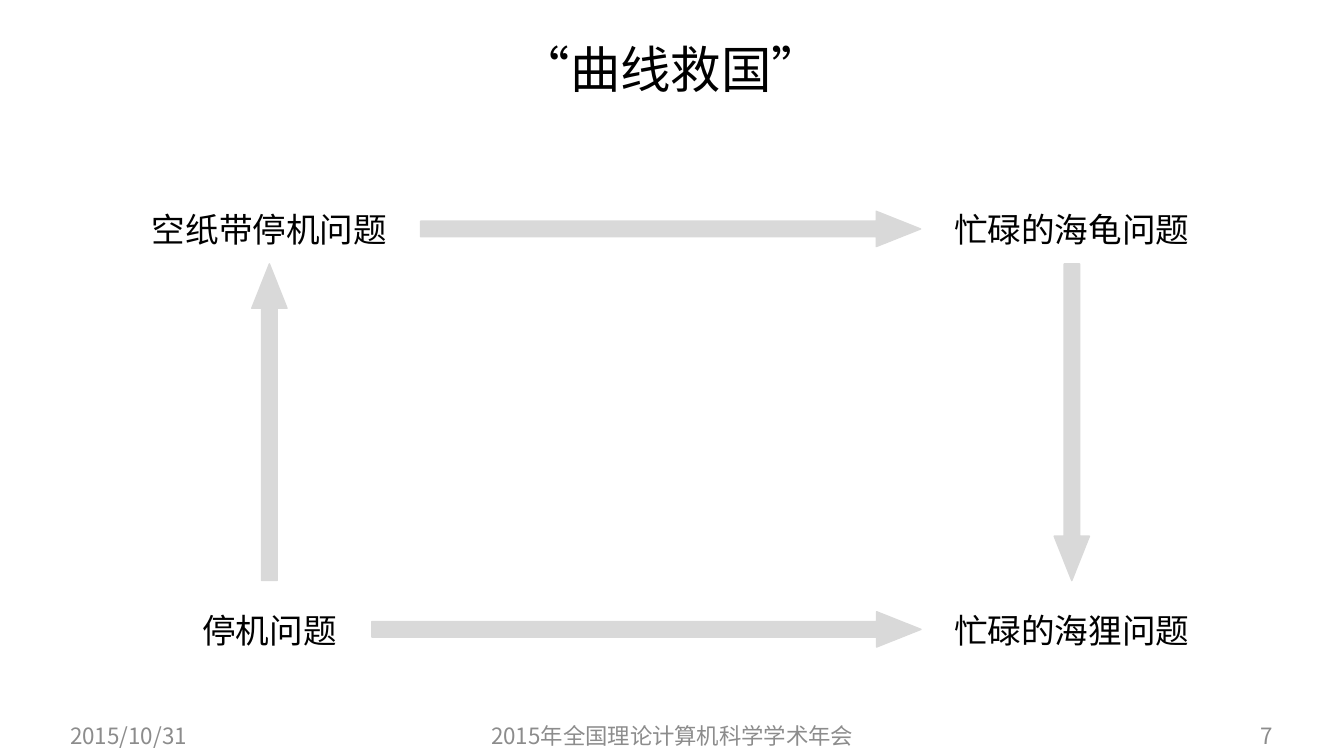
from pptx import Presentation
from pptx.dml.color import RGBColor
from pptx.enum.shapes import MSO_SHAPE
from pptx.enum.text import MSO_ANCHOR, PP_ALIGN
from pptx.oxml.ns import qn
from pptx.util import Cm, Pt
from lxml.etree import SubElement

THEME = {
    "cjk": "Noto Sans CJK SC",
    "arrow": RGBColor(0xD9, 0xD9, 0xD9),
    "title": {"name": "Noto Sans CJK SC", "size": Pt(36), "color": RGBColor(0, 0, 0)},
    "label": {"name": "Lato", "size": Pt(24), "color": RGBColor(0, 0, 0)},
    "footer": {"name": "Noto Sans CJK SC", "size": Pt(16), "color": RGBColor(0x8C, 0x8C, 0x8C)},
}

prs = Presentation()
prs.slide_width, prs.slide_height = Cm(33.87), Cm(19.05)
s = prs.slides.add_slide(prs.slide_layouts[6])


def add_text(text, left, top, width, height, style, align, anchor=MSO_ANCHOR.MIDDLE):
    tf = s.shapes.add_textbox(Cm(left), Cm(top), Cm(width), Cm(height)).text_frame
    tf.word_wrap, tf.vertical_anchor = True, anchor
    p = tf.paragraphs[0]
    p.alignment = align
    r = p.add_run()
    r.text = text
    for key, value in THEME[style].items():
        if key == "color":
            r.font.color.rgb = value
        else:
            setattr(r.font, key, value)
    SubElement(r.font._element, qn("a:ea"), typeface=THEME["cjk"])
    return p


def add_arrow(center_x, center_y, length, rotation):
    width = 0.89
    sp = s.shapes.add_shape(MSO_SHAPE.UP_ARROW, Cm(center_x - width / 2),
                            Cm(center_y - length / 2), Cm(width), Cm(length))
    sp.rotation = rotation
    sp.adjustments[0], sp.adjustments[1] = 0.439, 1.258
    sp.shadow.inherit = False
    sp.fill.solid()
    sp.fill.fore_color.rgb = sp.line.color.rgb = THEME["arrow"]
    sp.line.width = Pt(1)


# Title
title = add_text("“曲线救国”", 1.52, 0.25, 30.78, 3.15, "title", PP_ALIGN.CENTER)
title.line_spacing = 0.9

# Problems at the four corners
left_x, right_x = 6.79, 27.01
top_y, bottom_y = 5.13, 15.24
for text, center_x, top, width in [
    ("空纸带停机问题", left_x, top_y, 6.86),
    ("忙碌的海龟问题", right_x, top_y, 6.86),
    ("停机问题", left_x, bottom_y, 4.24),
    ("忙碌的海狸问题", right_x, bottom_y, 6.86),
]:
    add_text(text, center_x - width / 2, top, width, 1.27, "label",
             PP_ALIGN.CENTER, MSO_ANCHOR.TOP)

# Reductions between the problems
for center_x, center_y, length, rotation in [
    (left_x, 10.64, 7.98, 0),
    (right_x, 10.64, 7.98, 180),
    (16.9, 5.77, 12.6, 90),
    (16.29, 15.86, 13.84, 90),
]:
    add_arrow(center_x, center_y, length, rotation)

# Footer
for text, left, width, align in [
    ("2015/10/31", 1.52, 6.25, PP_ALIGN.LEFT),
    ("2015年全国理论计算机科学学术年会", 11.23, 11.43, PP_ALIGN.CENTER),
    ("7", 24.71, 7.62, PP_ALIGN.RIGHT),
]:
    add_text(text, left, 18.03, width, 1.02, "footer", align)

prs.save("out.pptx")
